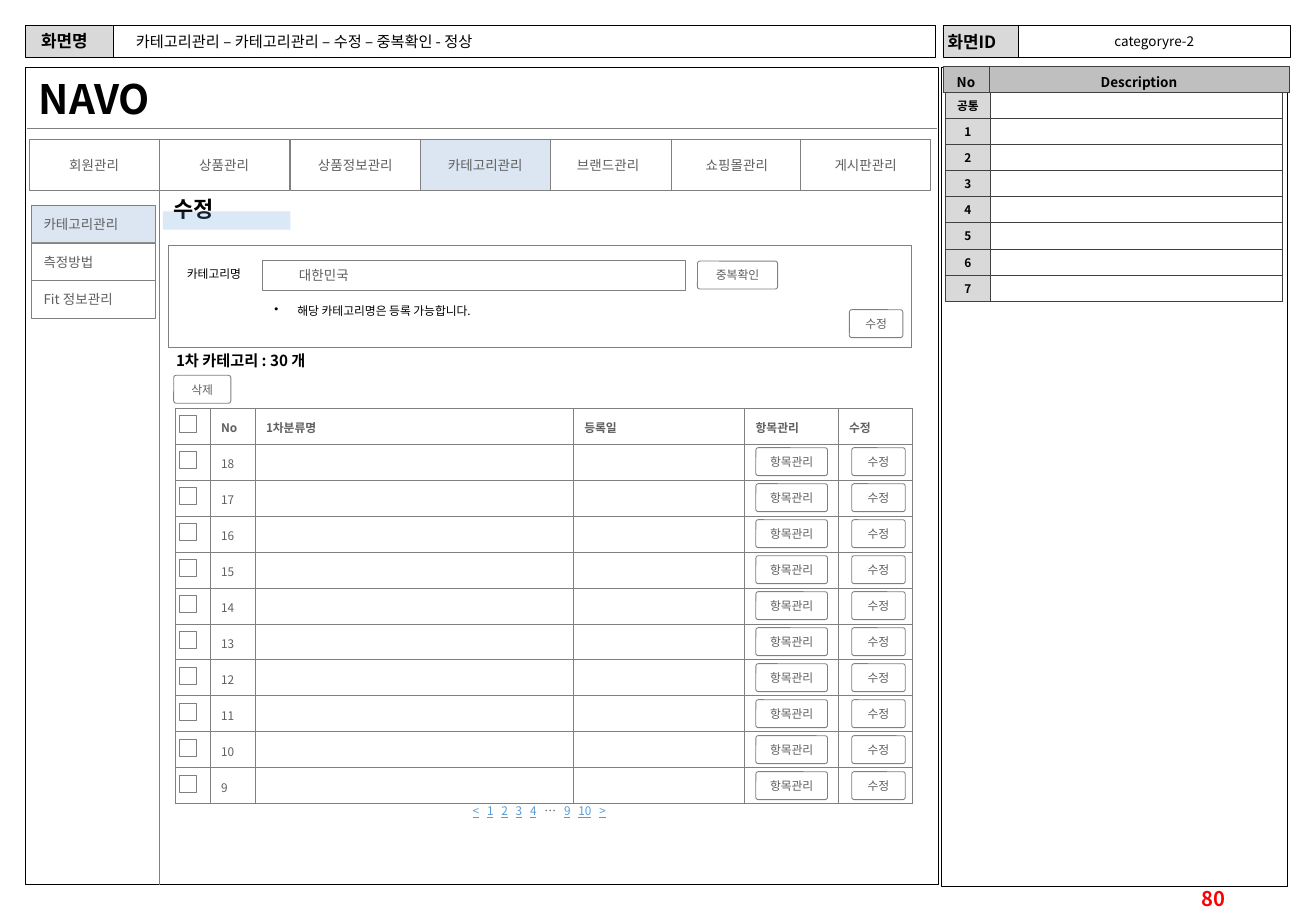
from lxml.etree import SubElement
from pptx import Presentation
from pptx.dml.color import RGBColor
from pptx.enum.shapes import MSO_CONNECTOR, MSO_SHAPE
from pptx.enum.text import MSO_ANCHOR, PP_ALIGN
from pptx.oxml.ns import qn
from pptx.util import Inches, Pt

BLACK, WHITE, GRAY, TEXT = "000000", "FFFFFF", "808080", "5F5F5F"
LABEL, HEADER, GRID = "D9D9D9", "BFBFBF", "404040"
ACTIVE, LINK, RED = "DCE6F2", "5B9BD5", "FF0000"
LEFT, CENTER, RIGHT = PP_ALIGN.LEFT, PP_ALIGN.CENTER, PP_ALIGN.RIGHT


def color(value):
    return RGBColor.from_string(value)


class Wireframe:
    font = "Noto Sans CJK KR"

    def __init__(self, slide):
        self.slide = slide

    def add_text_run(self, paragraph, text, size, ink=BLACK, bold=False, underline=False):
        run = paragraph.add_run()
        run.text = text
        run.font.size, run.font.bold = Pt(size), bold
        run.font.underline = underline
        run.font.name = self.font
        run.font.color.rgb = color(ink)
        properties = run._r.get_or_add_rPr()
        SubElement(properties, qn("a:ea")).set("typeface", self.font)
        return properties

    def fill_frame(self, frame, text, size, ink, bold, align, anchor, insets):
        frame.word_wrap = True
        frame.vertical_anchor = anchor
        (frame.margin_left, frame.margin_top,
         frame.margin_right, frame.margin_bottom) = map(Inches, insets)
        paragraph = frame.paragraphs[0]
        paragraph.alignment = align
        if text:
            self.add_text_run(paragraph, text, size, ink, bold)
        return paragraph

    def text(self, box, text, size, ink=BLACK, bold=False, align=LEFT,
             anchor=MSO_ANCHOR.TOP, insets=(0.1, 0.05, 0.1, 0.05)):
        shape = self.slide.shapes.add_textbox(*map(Inches, box))
        return self.fill_frame(shape.text_frame, text, size, ink, bold, align, anchor, insets)

    def box(self, box, fill=WHITE, line=GRAY, width=0.5, text="", size=8,
            align=CENTER, insets=(0.1, 0.05, 0.1, 0.05), kind=MSO_SHAPE.RECTANGLE):
        shape = self.slide.shapes.add_shape(kind, *map(Inches, box))
        shape.shadow.inherit = False
        shape.fill.solid()
        shape.fill.fore_color.rgb = color(fill)
        if line:
            shape.line.color.rgb = color(line)
            shape.line.width = Pt(width)
        else:
            shape.line.fill.background()
        if text:
            self.fill_frame(shape.text_frame, text, size, TEXT, False, align,
                            MSO_ANCHOR.MIDDLE, insets)
        return shape

    def button(self, left, top, width, text):
        shape = self.box((left, top, width, 0.23), text=text, size=7,
                         kind=MSO_SHAPE.ROUNDED_RECTANGLE)
        shape.adjustments[0] = 0.09

    def line(self, left, top, right, bottom):
        connector = self.slide.shapes.add_connector(
            MSO_CONNECTOR.STRAIGHT, *map(Inches, (left, top, right, bottom)))
        connector.line.color.rgb = color(GRAY)
        connector.line.width = Pt(0.5)
        SubElement(connector._element.spPr, qn("a:effectLst"))

    def table(self, left, top, columns, row_height, rows, size, border, fills,
              insets, ink=BLACK, align=CENTER, anchor=MSO_ANCHOR.MIDDLE, bold_rows=None):
        """Rows before bold_rows are bold; without it all rows are."""
        table = self.slide.shapes.add_table(
            len(rows), len(columns), Inches(left), Inches(top),
            Inches(sum(columns)), Inches(row_height * len(rows))).table
        table.first_row = table.horz_banding = False
        for column, width in zip(table.columns, columns):
            column.width = Inches(width)
        for r, values in enumerate(rows):
            table.rows[r].height = Inches(row_height)
            bold = bold_rows is None or r < bold_rows
            for c, value in enumerate(values):
                cell = table.cell(r, c)
                self.border(cell, border)
                if fills[c]:
                    cell.fill.solid()
                    cell.fill.fore_color.rgb = color(fills[c])
                else:
                    cell.fill.background()
                paragraph = cell.text_frame.paragraphs[0]
                paragraph.alignment = align
                if value:
                    self.add_text_run(paragraph, value, size, ink, bold)
                cell.vertical_anchor = anchor
                (cell.margin_left, cell.margin_top,
                 cell.margin_right, cell.margin_bottom) = map(Inches, insets)
                # Keeps empty cells from stretching the row
                paragraph._p.get_or_add_endParaRPr().set("sz", str(size * 100))

    def border(self, cell, ink):
        properties = cell._tc.get_or_add_tcPr()
        for side in ("lnL", "lnR", "lnT", "lnB"):
            edge = SubElement(properties, qn("a:" + side), w=str(Pt(0.5)))
            fill = SubElement(edge, qn("a:solidFill"))
            SubElement(fill, qn("a:srgbClr"), val=ink)


def main():
    presentation = Presentation()
    presentation.slide_width, presentation.slide_height = Inches(10.83), Inches(7.5)
    slide = presentation.slides.add_slide(presentation.slide_layouts[6])
    page = Wireframe(slide)
    middle = MSO_ANCHOR.MIDDLE

    # Frame: title bar, screen area and description area
    for box, fill in [((0.21, 0.21, 0.72, 0.26), LABEL), ((0.21, 0.55, 7.51, 6.73), WHITE),
                      ((0.93, 0.21, 6.77, 0.26), WHITE), ((7.76, 0.21, 0.62, 0.26), LABEL),
                      ((8.38, 0.21, 2.24, 0.26), WHITE), ((7.75, 0.55, 2.84, 6.75), WHITE)]:
        page.box(box, fill, BLACK, 0.25)
    page.text((0.24, 0.2, 0.69, 0.27), "화면명", 10, bold=True)
    page.text((7.7, 0.21, 1.02, 0.27), "화면ID", 10, bold=True)
    page.text((1.02, 0.23, 6.6, 0.23), "카테고리관리 – 카테고리관리 – 수정 – 중복확인 - 정상",
              9, anchor=middle)
    page.text((8.38, 0.21, 2.24, 0.26), "categoryre-2", 8, align=CENTER, anchor=middle)
    page.text((9.61, 7.29, 0.57, 0.21), "80", 12, RED, True, RIGHT, middle)

    # Description tables
    page.table(7.76, 0.55, [0.38, 2.47], 0.21, [["No", "Description"]], 8, GRID,
               [HEADER, HEADER], (0.04, 0.04, 0.04, 0), anchor=MSO_ANCHOR.TOP)
    notes = [[label, ""] for label in ["공통", *map(str, range(1, 8))]]
    page.table(7.78, 0.76, [0.37, 2.4], 1.72 / len(notes), notes, 7, GRID,
               [LABEL, WHITE], (0.04, 0.03, 0.04, 0.03))

    # Site name and top menu
    page.text((0.22, 0.56, 1.45, 0.5), "NAVO", 24, bold=True)
    page.line(0.22, 1.06, 7.71, 1.06)
    for label, left in [("회원관리", 0.24), ("상품관리", 1.31), ("브랜드관리", 4.47),
                        ("쇼핑몰관리", 5.53), ("카테고리관리", 3.46),
                        ("게시판관리", 6.59), ("상품정보관리", 2.39)]:
        page.box((left, 1.15, 1.07, 0.42), ACTIVE if label == "카테고리관리" else WHITE, text=label)

    # Side menu
    page.line(1.31, 1.57, 1.31, 7.29)
    for i, label in enumerate(["카테고리관리", "측정방법", "Fit 정보관리"]):
        page.box((0.26, 1.69 + 0.31 * i, 1.02, 0.31), WHITE if i else ACTIVE,
                 text=label, align=LEFT)

    # Section heading with translucent marker
    page.text((1.33, 1.56, 1.03, 0.32), "수정", 13, bold=True)
    marker = page.box((1.34, 1.74, 1.05, 0.15), LINK, None)
    tint = marker._element.spPr.find(qn("a:solidFill"))[0]
    SubElement(tint, qn("a:alpha"), val="22000")

    # Edit form
    page.box((1.39, 2.02, 6.11, 0.84))
    page.box((2.16, 2.14, 3.48, 0.25), text="대한민국", align=LEFT, insets=(0.3, 0.06, 0.1, 0.06))
    page.text((1.44, 2.15, 0.71, 0.22), "카테고리명", 7)
    page.button(6.99, 2.55, 0.44, "수정")
    page.button(5.74, 2.15, 0.66, "중복확인")
    message = page.text((2.16, 2.45, 2.66, 0.22), "해당 카테고리명은 등록 가능합니다.", 7)
    properties = message._p.get_or_add_pPr()
    properties.set("marL", str(Inches(0.19)))
    properties.set("indent", str(Inches(-0.19)))
    SubElement(properties, qn("a:buChar"), char="•")

    # Category list
    page.text((1.35, 2.84, 2.01, 0.25), "1차 카테고리 : 30 개", 9, bold=True)
    page.button(1.43, 3.09, 0.47, "삭제")
    rows = [["", "No", "1차분류명", "등록일", "항목관리", "수정"]]
    rows += [["", str(number), "", "", "", ""] for number in range(18, 8, -1)]
    row_height = 3.26 / len(rows)
    page.table(1.44, 3.36, [0.29, 0.37, 2.62, 1.41, 0.77, 0.61], row_height, rows, 7, GRAY,
               [None] * 6, (0.09, 0.09, 0.09, 0.06), TEXT, LEFT, bold_rows=1)
    for i in range(len(rows)):
        offset = row_height * i
        page.box((1.48, 3.42 + offset, 0.14, 0.14))
        if i:
            page.button(6.22, 3.39 + offset, 0.59, "항목관리")
            page.button(7.01, 3.39 + offset, 0.44, "수정")

    # Page links, set apart by letter spacing
    links = page.text((3.81, 6.58, 1.45, 0.2), "", 7, insets=(0.08, 0.04, 0.08, 0.04))
    for i, label in enumerate("< 1 2 3 4 … 9 10 >".split()):
        if i:
            page.add_text_run(links, " ", 7, LINK).set("spc", "310")
        is_link = label != "…"
        page.add_text_run(links, label, 7, LINK if is_link else TEXT, underline=is_link)

    presentation.save("out.pptx")


if __name__ == "__main__":
    main()
